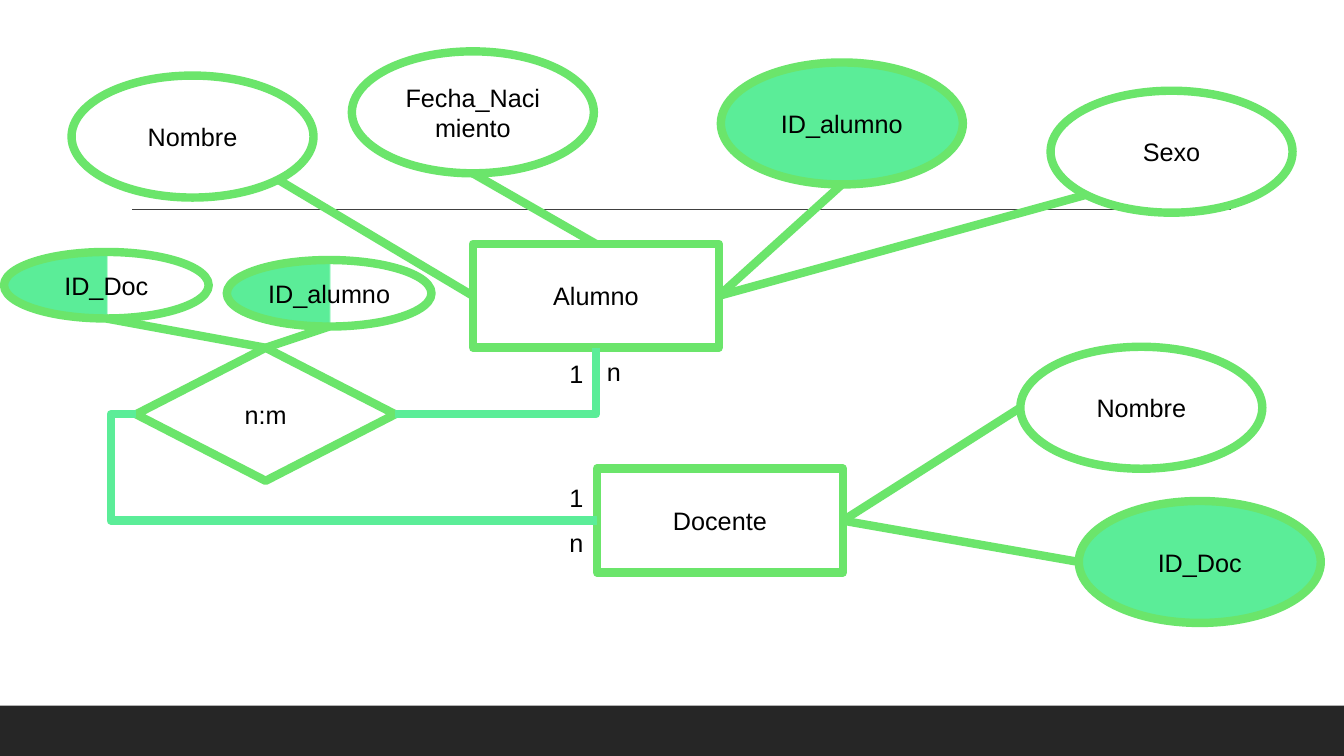
import math
from dataclasses import dataclass

import lxml.etree
import pptx
import pptx.dml.color
import pptx.enum.shapes
import pptx.enum.text
import pptx.oxml.ns
import pptx.util

SHAPE = pptx.enum.shapes.MSO_SHAPE
CONNECTOR = pptx.enum.shapes.MSO_CONNECTOR
TOP, LEFT, BOTTOM, RIGHT = range(4)


@dataclass(frozen=True)
class Theme:
    outline: str = "6BE56B"
    accent: str = "5BED98"
    paper: str = "FFFFFF"
    text: str = "000000"
    rule: str = "404040"
    footer: str = "262626"
    font: str = "Arial"
    size: int = 18
    stroke: int = 6


class Diagram:
    PX = 9144  # EMU per px, 100 px to the inch

    def __init__(self, prs, theme):
        self.theme = theme
        self.s = prs.slides.add_slide(prs.slide_layouts[6])

    def emu(self, *lengths):
        return [pptx.util.Emu(round(n * self.PX)) for n in lengths]

    def rgb(self, color):
        return pptx.dml.color.RGBColor.from_string(color)

    def add_text(self, tf, text, align):
        p = tf.paragraphs[0]
        p.alignment = align
        r = p.add_run()
        r.text = text
        r.font.name = self.theme.font
        r.font.size = pptx.util.Pt(self.theme.size)
        r.font.color.rgb = self.rgb(self.theme.text)

    def stroke(self, line, color, width):
        line.color.rgb = self.rgb(color)
        line.width = pptx.util.Pt(width)

    def band(self, x, y, w, h, color):
        sp = self.s.shapes.add_shape(SHAPE.RECTANGLE, *self.emu(x, y, w, h))
        sp.shadow.inherit = False
        sp.fill.solid()
        sp.fill.fore_color.rgb = self.rgb(color)
        sp.line.fill.background()

    def node(self, kind, text, x, y, w, h, fill=None):
        sp = self.s.shapes.add_shape(kind, *self.emu(x, y, w, h))
        sp.shadow.inherit = False
        if fill == "half":
            sp.fill.gradient()
            sp.fill.gradient_angle = 0
            stops = ((0.5, self.theme.accent), (0.51, self.theme.paper))
            for stop, (position, color) in zip(sp.fill.gradient_stops, stops):
                stop.position = position
                stop.color.rgb = self.rgb(color)
        elif fill == "full":
            sp.fill.solid()
            sp.fill.fore_color.rgb = self.rgb(self.theme.accent)
        else:
            sp.fill.background()
        self.stroke(sp.line, self.theme.outline, self.theme.stroke)
        tf = sp.text_frame
        tf.word_wrap = True
        tf.vertical_anchor = pptx.enum.text.MSO_ANCHOR.MIDDLE
        self.add_text(tf, text, pptx.enum.text.PP_ALIGN.CENTER)
        return sp

    def connector(self, kind, start, end, color, width):
        c = self.s.shapes.add_connector(kind, *self.emu(*start, *end))
        self.stroke(c.line, color, width)
        lxml.etree.SubElement(c._element.spPr, pptx.oxml.ns.qn("a:effectLst"))
        return c

    def attribute(self, text, x, y, w, h, fill, angle, owner, side):
        """An oval tied from its rim, at the given angle, to a side of its owner."""
        self.node(SHAPE.OVAL, text, x, y, w, h, fill)
        a = math.radians(angle)
        rim = x + w / 2 * (1 + math.cos(a)), y + h / 2 * (1 + math.sin(a))
        c = self.connector(CONNECTOR.STRAIGHT, rim, rim,
                           self.theme.outline, self.theme.stroke)
        c.end_connect(owner, side)

    def elbow(self, start, start_side, end, end_side, preset, bend=None):
        c = self.connector(CONNECTOR.ELBOW, (0, 0), (0, 0),
                           self.theme.accent, self.theme.stroke)
        c.begin_connect(start, start_side)
        c.end_connect(end, end_side)
        geom = c._element.spPr.find(pptx.oxml.ns.qn("a:prstGeom"))
        geom.set("prst", preset)
        if bend is not None:
            guides = geom.find(pptx.oxml.ns.qn("a:avLst"))
            lxml.etree.SubElement(guides, pptx.oxml.ns.qn("a:gd"),
                                  name="adj1", fmla=f"val {bend}")

    def label(self, text, x, y):
        sp = self.s.shapes.add_textbox(*self.emu(x, y, 34, 40))
        tf = sp.text_frame
        tf.word_wrap = False
        tf.auto_size = pptx.enum.text.MSO_AUTO_SIZE.SHAPE_TO_FIT_TEXT
        self.add_text(tf, text, pptx.enum.text.PP_ALIGN.LEFT)


def main():
    prs = pptx.Presentation()
    prs.slide_width = pptx.util.Inches(13.33)
    prs.slide_height = pptx.util.Inches(7.5)
    theme = Theme()
    d = Diagram(prs, theme)

    # Footer band and rule
    d.band(0, 700, 1333, 50, theme.footer)
    d.connector(CONNECTOR.STRAIGHT, (131, 208), (1221, 208), theme.rule, 1)

    # Entities and their relationship
    alumno = d.node(SHAPE.RECTANGLE, "Alumno", 469, 242, 244, 103)
    docente = d.node(SHAPE.RECTANGLE, "Docente", 592, 465, 244, 103)
    relation = d.node(SHAPE.DIAMOND, "n:m", 135, 345, 257, 132)

    # Entity attributes; keys are filled
    for text, x, y, fill, angle, owner, side in (
        ("Fecha_Nacimiento", 349, 51, None, 90, alumno, TOP),
        ("Nombre", 71, 75, None, 45, alumno, LEFT),
        ("Sexo", 1042, 90, None, 135, alumno, RIGHT),
        ("ID_alumno", 715, 62, "full", 90, alumno, RIGHT),
        ("Nombre", 1012, 344, None, 180, docente, RIGHT),
        ("ID_Doc", 1070, 497, "full", 180, docente, RIGHT),
    ):
        d.attribute(text, x, y, 240, 121, fill, angle, owner, side)

    # Links between the relationship and the entities
    d.elbow(relation, RIGHT, alumno, BOTTOM, "bentConnector2")
    d.elbow(relation, LEFT, docente, LEFT, "bentConnector3", -5500)

    # Cardinalities
    for text, x, y in (("1", 555, 351), ("n", 555, 518),
                       ("1", 555, 474), ("n", 592, 349)):
        d.label(text, x, y)

    # Foreign keys of the relationship, half filled
    for text, x, y in (("ID_alumno", 225, 258), ("ID_Doc", 4, 250)):
        d.attribute(text, x, y, 203, 66, "half", 90, relation, TOP)

    prs.save("out.pptx")


if __name__ == "__main__":
    main()
